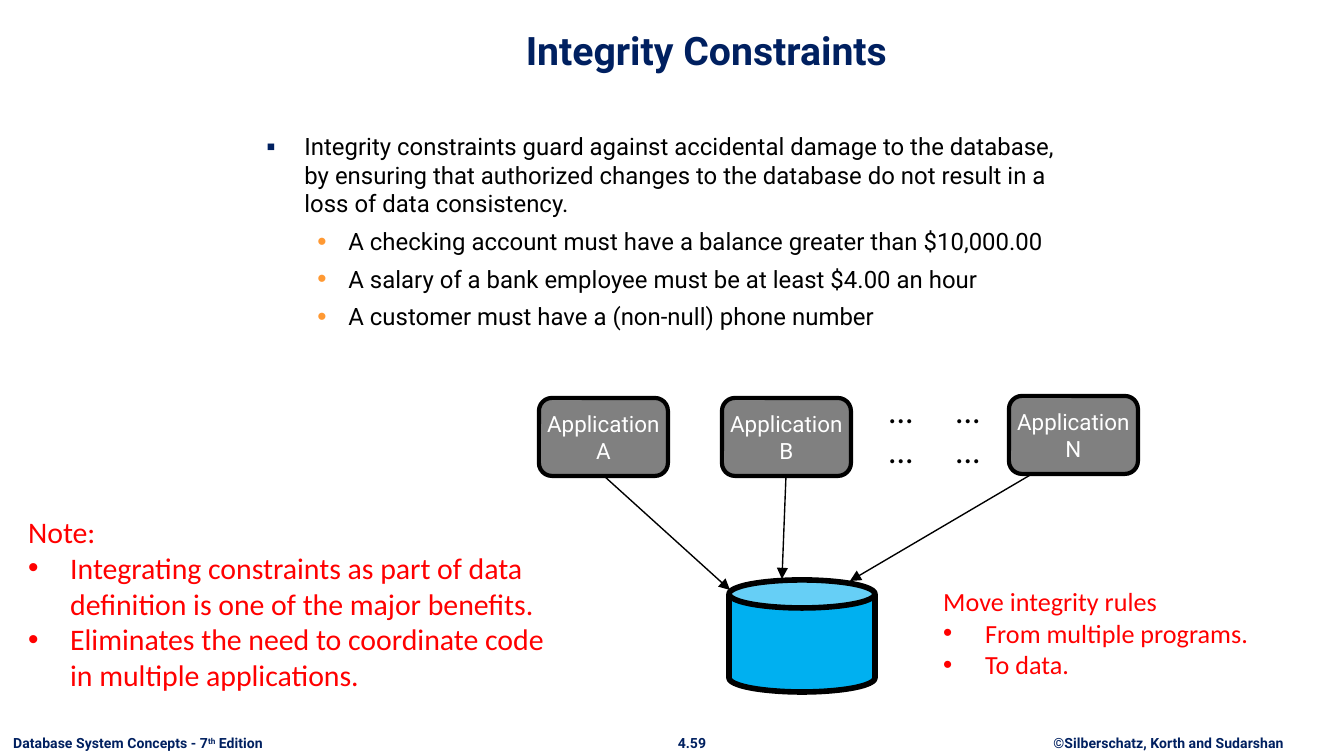
from lxml.etree import SubElement
from pptx import Presentation
from pptx.dml.color import RGBColor
from pptx.enum.shapes import MSO_CONNECTOR as Connector, MSO_SHAPE as Preset
from pptx.enum.text import MSO_ANCHOR as Anchor, MSO_AUTO_SIZE as AutoSize, PP_ALIGN as Align
from pptx.oxml.ns import qn
from pptx.util import Emu, Pt

NAVY = RGBColor(0x00, 0x20, 0x60)
ORANGE = RGBColor(0xFF, 0x99, 0x33)
RED = RGBColor(0xFF, 0x00, 0x00)
BLACK = RGBColor(0x00, 0x00, 0x00)
WHITE = RGBColor(0xFF, 0xFF, 0xFF)
GRAY = RGBColor(0x80, 0x80, 0x80)
SKY = RGBColor(0x00, 0xB0, 0xF0)
EMU_PER_PX = 914400 / 134.4


def px(length):
    return Emu(round(length * EMU_PER_PX))


class SlideBuilder:
    heading_font = "Roboto"
    note_font = "Calibri"

    def __init__(self, slide):
        self.slide = slide

    def place(self, shape, box):
        shape.left, shape.top, shape.width, shape.height = map(px, box)

    def add_text(self, paragraph, text, size, color, font, bold=False, raised=False):
        """Add one run per line of text, with line breaks between them."""
        for number, line in enumerate(text.split("\n")):
            if number:
                paragraph.add_line_break()
                SubElement(paragraph._p[-1], qn("a:rPr"), sz=str(round(size * 100)))
            run = paragraph.add_run()
            run.text = line
            run.font.size, run.font.name, run.font.bold = Pt(size), font, bold
            run.font.color.rgb = color
            if raised:
                run.font._element.set("baseline", "30000")

    def bullet(self, paragraph, mark, margin, hanging, color=None, percent=100):
        properties = paragraph._p.get_or_add_pPr()
        properties.set("marL", str(px(margin)))
        properties.set("indent", str(-px(hanging)))
        if color is not None:
            fill = SubElement(properties, qn("a:buClr"))
            SubElement(fill, qn("a:srgbClr"), val=str(color))
        SubElement(properties, qn("a:buSzPct"), val=str(percent * 1000))
        SubElement(properties, qn("a:buFont"), typeface="Arial")
        SubElement(properties, qn("a:buChar"), char=mark)

    def title(self, text, box):
        shape = self.slide.shapes.title
        self.place(shape, box)
        frame = shape.text_frame
        frame.auto_size, frame.vertical_anchor = AutoSize.NONE, Anchor.BOTTOM
        frame.paragraphs[0].alignment = Align.CENTER
        self.add_text(frame.paragraphs[0], text, 21, NAVY, self.heading_font, bold=True)

    def body(self, lead, details, box):
        shape = self.slide.placeholders[1]
        self.place(shape, box)
        frame = shape.text_frame
        frame.auto_size = AutoSize.NONE
        paragraph = frame.paragraphs[0]
        paragraph.space_before = Pt(0)
        self.bullet(paragraph, "▪", 38, 38, NAVY, 110)
        self.add_text(paragraph, lead, 12.8, BLACK, self.heading_font)
        for detail in details:
            paragraph = frame.add_paragraph()
            paragraph.level = 1
            paragraph.space_before = Pt(4.8)
            self.bullet(paragraph, "•", 82, 31, ORANGE, 110)
            self.add_text(paragraph, detail, 12.8, BLACK, self.heading_font)

    def text_box(self, box):
        shape = self.slide.shapes.add_textbox(*map(px, box))
        frame = shape.text_frame
        frame.word_wrap, frame.auto_size = False, AutoSize.SHAPE_TO_FIT_TEXT
        return frame

    def footer(self, parts, box, alignment=Align.CENTER):
        """Put (text, raised) parts on one line."""
        paragraph = self.text_box(box).paragraphs[0]
        paragraph.alignment = alignment
        for text, raised in parts:
            self.add_text(paragraph, text, 7.5, NAVY, self.heading_font, True, raised)

    def note(self, heading, points, size, box):
        frame = self.text_box(box)
        self.add_text(frame.paragraphs[0], heading, size, RED, self.note_font)
        for point in points:
            paragraph = frame.add_paragraph()
            self.bullet(paragraph, "•", 42, 42)
            self.add_text(paragraph, point, size, RED, self.note_font)

    def ellipses(self, box, rows, tab):
        frame = self.text_box(box)
        for row in range(rows):
            paragraph = frame.add_paragraph() if row else frame.paragraphs[0]
            tabs = SubElement(paragraph._p.get_or_add_pPr(), qn("a:tabLst"))
            SubElement(tabs, qn("a:tab"), pos=str(px(tab)), algn="l")
            self.add_text(paragraph, "...\t...", 18, BLACK, self.note_font)

    def shape(self, preset, box, fill, line_width, text=""):
        shape = self.slide.shapes.add_shape(preset, *map(px, box))
        shape.shadow.inherit = False
        shape.fill.solid()
        shape.fill.fore_color.rgb = fill
        shape.line.color.rgb, shape.line.width = BLACK, Pt(line_width)
        if text:
            frame = shape.text_frame
            frame.word_wrap, frame.vertical_anchor = False, Anchor.MIDDLE
            frame.paragraphs[0].alignment = Align.CENTER
            self.add_text(frame.paragraphs[0], text, 12, WHITE, self.heading_font)

    def arrow(self, start, end):
        connector = self.slide.shapes.add_connector(
            Connector.STRAIGHT, *map(px, start + end))
        connector.line.color.rgb, connector.line.width = BLACK, Pt(0.75)
        SubElement(connector.line._get_or_add_ln(), qn("a:tailEnd"), type="triangle")
        SubElement(connector._element.spPr, qn("a:effectLst"))


def main():
    presentation = Presentation()
    presentation.slide_width, presentation.slide_height = px(1344), px(756)
    slide = presentation.slides.add_slide(presentation.slide_layouts[1])
    builder = SlideBuilder(slide)

    builder.footer([("©Silberschatz, Korth and Sudarshan", False)], (1032, 728, 273, 31))
    builder.footer([("4.59", False)], (664, 728, 56, 31))
    builder.footer([("Database System Concepts - 7", False), ("th", True),
                    (" Edition", False)], (0, 728, 293, 31), Align.LEFT)

    builder.title("Integrity Constraints", (113, 13, 1187, 67))
    builder.body(
        "Integrity constraints guard against accidental damage to the database, "
        "by ensuring that authorized changes to the database do not result in a "
        "loss of data consistency.",
        ["A checking account must have a balance greater than $10,000.00",
         "A salary of a bank employee must be at least $4.00 an hour",
         "A customer must have a (non-null) phone number"],
        (253, 125, 828, 474))
    builder.note(
        "Note:",
        ["Integrating constraints as part of data\n"
         "definition is one of the major benefits.",
         "Eliminates the need to coordinate code\nin multiple applications."],
        16, (15, 507, 550, 195))

    builder.shape(Preset.CAN, (729, 580, 146, 112), SKY, 3)
    for letter, left, top, start, end in (
            ("A", 539, 398, (604, 476), (730, 590)),
            ("B", 722, 398, (786, 476), (782, 579)),
            ("N", 1009, 396, (1032, 474), (850, 581))):
        builder.shape(Preset.ROUNDED_RECTANGLE, (left, top, 129, 78), GRAY, 2.25,
                      f"Application\n{letter}")
        builder.arrow(start, end)
    builder.ellipses((875, 383, 121, 95), rows=2, tab=67)
    builder.note("Move integrity rules", ["From multiple programs.", "To data."],
                 14, (930, 579, 335, 109))

    presentation.save("out.pptx")


if __name__ == "__main__":
    main()
